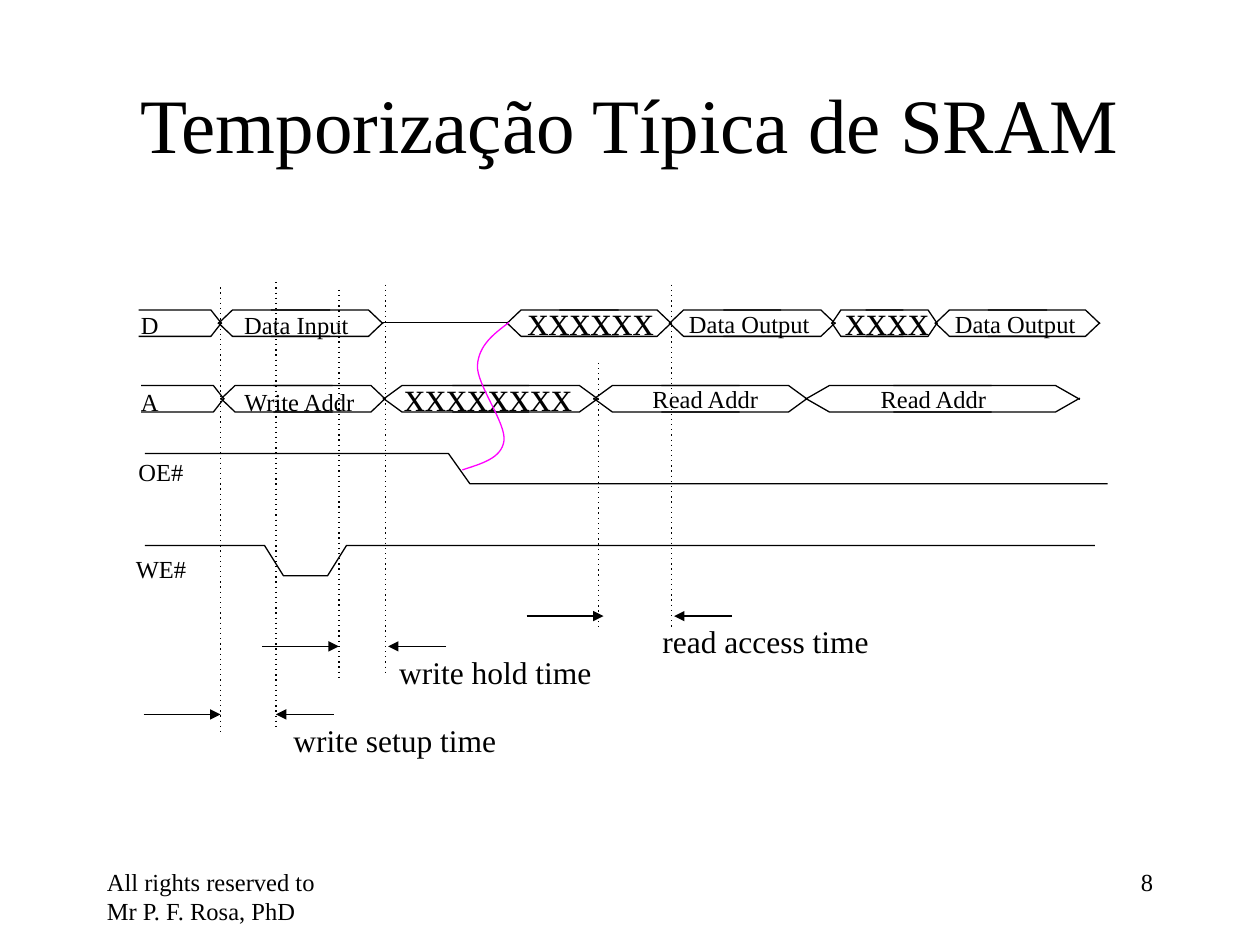
"""Build the slide with the timing diagram of a typical SRAM."""
from typing import NamedTuple

from lxml.etree import SubElement
from pptx import Presentation
from pptx.dml.color import RGBColor
from pptx.enum.shapes import MSO_CONNECTOR as Conn
from pptx.enum.text import MSO_ANCHOR as Anchor, PP_ALIGN as Align
from pptx.oxml.ns import qn
from pptx.util import Cm, Pt

BLACK = RGBColor(0x00, 0x00, 0x00)
MAGENTA = RGBColor(0xFF, 0x00, 0xFF)
FONT = "Times New Roman"
THIN = Pt(0.75)
CELL_H = 0.11
SLOPE = 0.13


class Label(NamedTuple):
    text: str
    x: float
    y: float
    w: float
    h: float = 0.33
    size: int = 14
    wrap: bool = False
    align: Align = Align.LEFT


class Cell(NamedTuple):
    left: float
    right: float
    half: float = 0.89


class Bus(NamedTuple):
    y: float
    start: float
    cells: list[Cell]


class Interval(NamedTuple):
    text: str
    x1: float
    x2: float
    tops: tuple[float, float]
    bottoms: tuple[float, float]
    y: float
    heads: tuple[float, float]
    label: tuple[float, float]


BUSES = [
    Bus(2.46, 1.1, [Cell(1.73, 3.04), Cell(4.02, 5.33), Cell(5.31, 6.63),
                    Cell(6.6, 7.44, 0.57), Cell(7.42, 8.73)]),
    Bus(3.06, 1.12, [Cell(1.75, 3.06), Cell(3.04, 4.75, 1.16),
                     Cell(4.71, 6.41, 1.16), Cell(6.39, 8.57, 1.48)]),
]
SIGNALS = [
    [(1.15, 3.6), (3.56, 3.6), (3.73, 3.84), (8.79, 3.84)],
    [(1.15, 4.33), (2.1, 4.33), (2.25, 4.57), (2.6, 4.57), (2.75, 4.33), (8.69, 4.33)],
]
ENABLE_CURVE = [(3.67, 3.73), (3.82, 3.68), (3.98, 3.64), (4, 3.5), (4.02, 3.36),
                (3.78, 3.05), (3.79, 2.9), (3.8, 2.74), (3.92, 2.65), (4.04, 2.56)]
LABELS = [
    Label("xxxxxxxx", 3.11, 2.88, 1.53, 0.5, 24),
    Label("xxxxxx", 4.09, 2.28, 1.2, 0.5, 24),
    Label("xxxx", 6.61, 2.28, 0.87, 0.5, 24),
    Label("D", 1.02, 2.41, 0.34),
    Label("Data Input", 1.84, 2.41, 1.03, wrap=True),
    Label("A", 1.02, 3.02, 0.34),
    Label("Write Addr", 1.84, 3.02, 1.09),
    Label("Read Addr", 5.08, 3, 1.05),
    Label("Read Addr", 6.89, 3, 1.05),
    Label("Data Output", 5.37, 2.4, 1.16, wrap=True),
    Label("Data Output", 7.48, 2.4, 1.16, wrap=True),
    Label("OE#", 1, 3.58, 0.56),
    Label("WE#", 0.98, 4.35, 0.6),
    Label("All rights reserved to Mr P. F. Rosa, PhD", 0.75, 6.83, 2.08, 0.5, wrap=True),
    Label("8", 7.17, 6.83, 2.08, 0.5, wrap=True, align=Align.RIGHT),
]
INTERVALS = [
    Interval("write setup time", 1.75, 2.19, (2.28, 2.24), (5.83, 5.79), 5.67,
             (1.75, 2.19), (2.23, 1.81)),
    Interval("write hold time", 2.69, 3.06, (2.3, 2.26), (5.38, 5.34), 5.13,
             (2.69, 3.08), (3.07, 1.73)),
    Interval("read access time", 4.75, 5.33, (2.88, 2.26), (5, 5), 4.89,
             (4.79, 5.35), (5.16, 1.84)),
]


def inch(value: float) -> Cm:
    """Turn inches into a length."""
    return Cm(value * 2.54)


def format_text(tf, text: str, size: int, align: Align) -> None:
    """Write one paragraph in the slide's font."""
    p = tf.paragraphs[0]
    p.alignment = align
    r = p.add_run()
    r.text = text
    r.font.color.rgb = BLACK
    for name, value in {"name": FONT, "size": Pt(size)}.items():
        setattr(r.font, name, value)


def add_label(s, label: Label) -> None:
    """Add a text box."""
    box = s.shapes.add_textbox(*map(inch, (label.x, label.y, label.w, label.h)))
    box.text_frame.word_wrap = label.wrap
    format_text(box.text_frame, label.text, label.size, label.align)


def add_trace(s, points: list[tuple[float, float]], color: RGBColor = BLACK):
    """Add an open, unfilled polyline."""
    pts = [(inch(x), inch(y)) for x, y in points]
    fb = s.shapes.build_freeform(*pts[0])
    fb.add_line_segments(pts[1:], close=False)
    sp = fb.convert_to_shape()
    sp.shadow.inherit = False
    sp.fill.background()
    sp.line.color.rgb = color
    sp.line.width = THIN
    return sp


def add_curve(s, points: list[tuple[float, float]], color: RGBColor) -> None:
    """Add a chain of cubic segments through every third point."""
    sp = add_trace(s, points, color)
    steps = list(sp._element.iter(qn("a:lnTo")))
    outline = steps[0].getparent()
    for i in range(0, len(steps), 3):
        cubic = SubElement(outline, qn("a:cubicBezTo"))
        for step in steps[i:i + 3]:
            cubic.append(step[0])
            outline.remove(step)


def add_line(s, x1: float, y1: float, x2: float, y2: float,
             dotted: bool = False, arrow: bool = False) -> None:
    """Add a straight line, dotted or with an arrowhead at its end."""
    c = s.shapes.add_connector(Conn.STRAIGHT, *map(inch, (x1, y1, x2, y2)))
    c.line.color.rgb = BLACK
    c.line.width = THIN
    ln = c.line._ln
    if dotted:
        SubElement(ln, qn("a:prstDash"), val="dot")
    if arrow:
        SubElement(ln, qn("a:tailEnd"), type="triangle")
    SubElement(c._element.spPr, qn("a:effectLst"))


def add_half_cell(s, flat: float, tip: float, y: float) -> None:
    """Add the upper and lower edges from a flat end to a tip."""
    knee = tip + SLOPE * (flat - tip)
    add_trace(s, [(flat, y), (knee, y), (tip, y + CELL_H)])
    add_trace(s, [(flat, y + 0.21), (knee, y + 0.21), (tip, y + 0.1)])


def add_bus(s, bus: Bus) -> None:
    """Add the opening half cell and all whole cells of a bus."""
    add_half_cell(s, bus.start, bus.start + 0.66, bus.y)
    for left, right, half in bus.cells:
        add_half_cell(s, left + half, left, bus.y)
        add_half_cell(s, right - half, right, bus.y)


def add_interval(s, iv: Interval) -> None:
    """Add two dotted limits, the arrows towards them and the name."""
    for x, top, bottom in zip((iv.x1, iv.x2), iv.tops, iv.bottoms):
        add_line(s, x, top, x, bottom, dotted=True)
    start, end = iv.heads
    add_line(s, start - 0.61, iv.y, start, iv.y, arrow=True)
    add_line(s, end + 0.46, iv.y, end, iv.y, arrow=True)
    x, w = iv.label
    add_label(s, Label(iv.text, x, iv.y, w, 0.4, 18))


def main() -> None:
    """Draw the slide and save it."""
    prs = Presentation()
    prs.slide_width, prs.slide_height = Cm(25.4), Cm(19.05)
    s = prs.slides.add_slide(prs.slide_layouts[5])
    title = s.shapes.title
    place = {"left": 0.75, "top": 0.35, "width": 8.5, "height": 1.25}
    for name, value in place.items():
        setattr(title, name, inch(value))
    title.text_frame.vertical_anchor = Anchor.MIDDLE
    format_text(title.text_frame, "Temporização Típica de SRAM", 44, Align.CENTER)
    for bus in BUSES:
        add_bus(s, bus)
    add_line(s, 3.04, 2.56, 4.04, 2.56)
    for points in SIGNALS:
        add_trace(s, points)
    for label in LABELS:
        add_label(s, label)
    for interval in INTERVALS:
        add_interval(s, interval)
    add_curve(s, ENABLE_CURVE, MAGENTA)
    prs.save("out.pptx")


if __name__ == "__main__":
    main()
